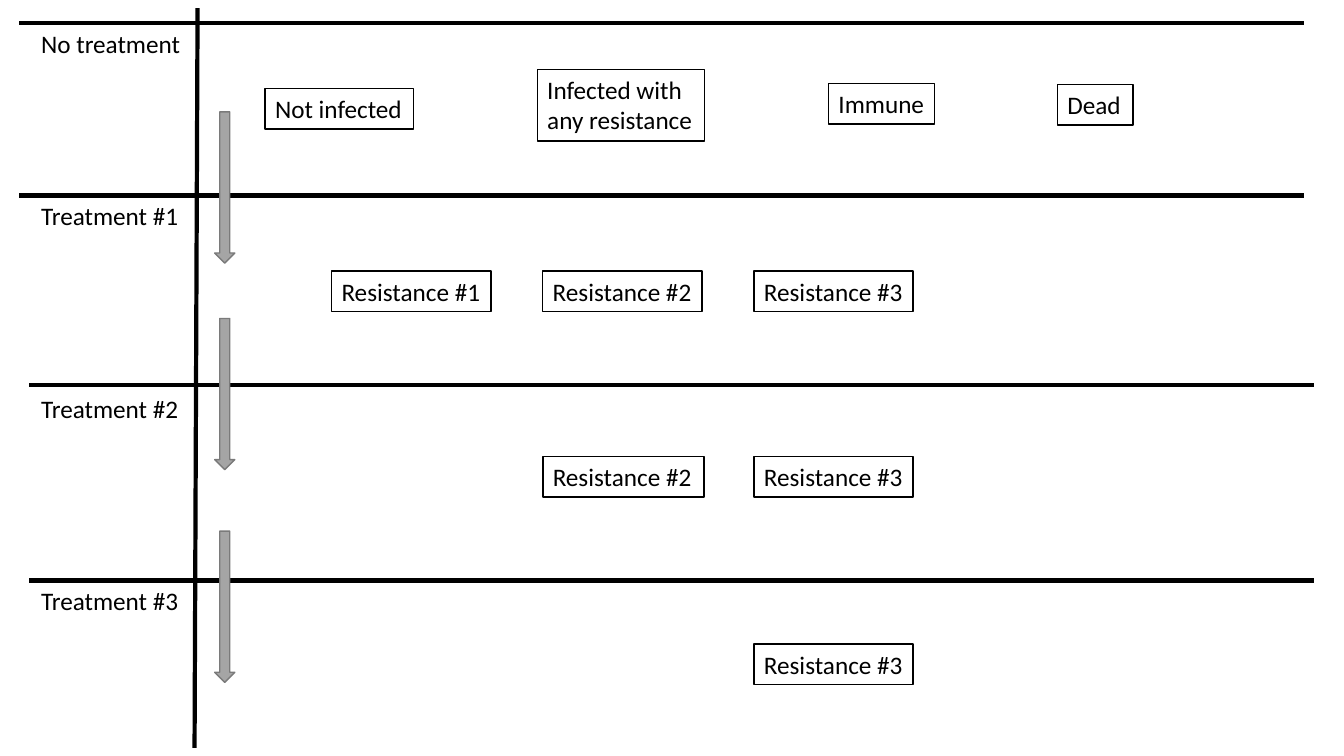
from dataclasses import dataclass
from lxml.etree import SubElement
from pptx import Presentation
from pptx.dml.color import RGBColor as RGB
from pptx.enum.shapes import MSO_CONNECTOR as LINK, MSO_SHAPE as FORM
from pptx.enum.text import MSO_ANCHOR as ANCHOR, MSO_AUTO_SIZE as FIT, PP_ALIGN as ALIGN
from pptx.oxml.ns import qn
from pptx.util import Inches, Pt

COLS, ROWS = 133.33, 75


@dataclass(frozen=True)
class Theme:
    """Colours, font and sizes of the slide."""
    ink: RGB = RGB(0, 0, 0)
    paper: RGB = RGB(255, 255, 255)
    grey: RGB = RGB(0xA5, 0xA5, 0xA5)
    edge: RGB = RGB(0x7A, 0x7A, 0x7A)
    font: str = "Calibri"
    size: int = 18
    thin: int = 1
    bold: int = 3


class Board:
    """Draws on one slide in columns and rows."""

    def __init__(self, deck, theme):
        """Add a blank slide and work out the grid cell."""
        self.slide = deck.slides.add_slide(deck.slide_layouts[6])
        self.shapes = self.slide.shapes
        self.theme = theme
        self.col, self.row = deck.slide_width / COLS, deck.slide_height / ROWS

    def place(self, x, y, w, h):
        """Turn grid units into slide lengths."""
        return [round(n * u) for n, u in zip((x, y, w, h), (self.col, self.row) * 2)]

    def letter(self, shape, text, wrap):
        """Put one left-aligned run in a shape."""
        frame = shape.text_frame
        frame.word_wrap, frame.auto_size = wrap, FIT.SHAPE_TO_FIT_TEXT
        frame.vertical_anchor = ANCHOR.TOP
        par = frame.paragraphs[0]
        par.alignment = ALIGN.LEFT
        run = par.add_run()
        run.text = text
        run.font.name, run.font.size = self.theme.font, Pt(self.theme.size)
        run.font.color.rgb = self.theme.ink

    def label(self, text, x, y, w, h):
        """Add plain text."""
        self.letter(self.shapes.add_textbox(*self.place(x, y, w, h)), text, True)

    def solid(self, home, form, area, fill, edge):
        """Add a filled and outlined preset shape."""
        shape = home.add_shape(form, *self.place(*area))
        shape.shadow.inherit = False
        shape.fill.solid()
        shape.fill.fore_color.rgb = fill
        shape.line.color.rgb, shape.line.width = edge, Pt(self.theme.thin)
        return shape

    def box(self, text, x, y, w, h=4, wrap=False):
        """Add a framed state."""
        look = self.theme
        shape = self.solid(self.shapes, FORM.RECTANGLE, (x, y, w, h), look.paper, look.ink)
        self.letter(shape, text, wrap)

    def arrows(self, x, tops, w, h):
        """Add a group of equal down arrows."""
        group = self.shapes.add_group_shape().shapes
        for top in tops:
            self.solid(group, FORM.DOWN_ARROW, (x, top, w, h), self.theme.grey, self.theme.edge)

    def rule(self, x, y, end, low):
        """Add a heavy straight line."""
        line = self.shapes.add_connector(LINK.STRAIGHT, *self.place(x, y, end, low))
        line.line.color.rgb, line.line.width = self.theme.ink, Pt(self.theme.bold)
        SubElement(line._element.spPr, qn("a:effectLst"))


def main():
    """Build the treatment chart."""
    deck = Presentation()
    deck.slide_width, deck.slide_height = Inches(13.33), Inches(7.5)
    board = Board(deck, Theme())

    stages = ["No treatment"] + [f"Treatment #{n}" for n in (1, 2, 3)]
    for name, top in zip(stages, (2.3, 19.4, 38.5, 57.6)):
        board.label(name, 3.1, top, 16.1, 4)
    for left, top in ((1.9, 2.3), (1.9, 19.4), (2.9, 38.2), (2.9, 57.6)):
        board.rule(left, top, left + 127.5, top)
    board.rule(19.6, 0.8, 19.3, 74.2)

    board.box("Not infected", 26.3, 8.8, 14.7)
    board.box("Infected with any resistance", 53.3, 6.9, 16.6, 7.1, True)
    board.box("Immune", 82.2, 8.3, 10.5)
    board.box("Dead", 104.9, 8.4, 7.5)
    for first, top in enumerate((26.9, 45.3, 63.9), 1):
        for kind in range(first, 4):
            wide = first == kind == 2
            board.box(f"Resistance #{kind}", 32.9 + 20.95 * (kind - 1), top,
                      16 if wide else 15.8, wrap=wide)

    board.arrows(21.3, (11.1, 31.6, 52.7), 2, 15)
    deck.save("out.pptx")


main()
